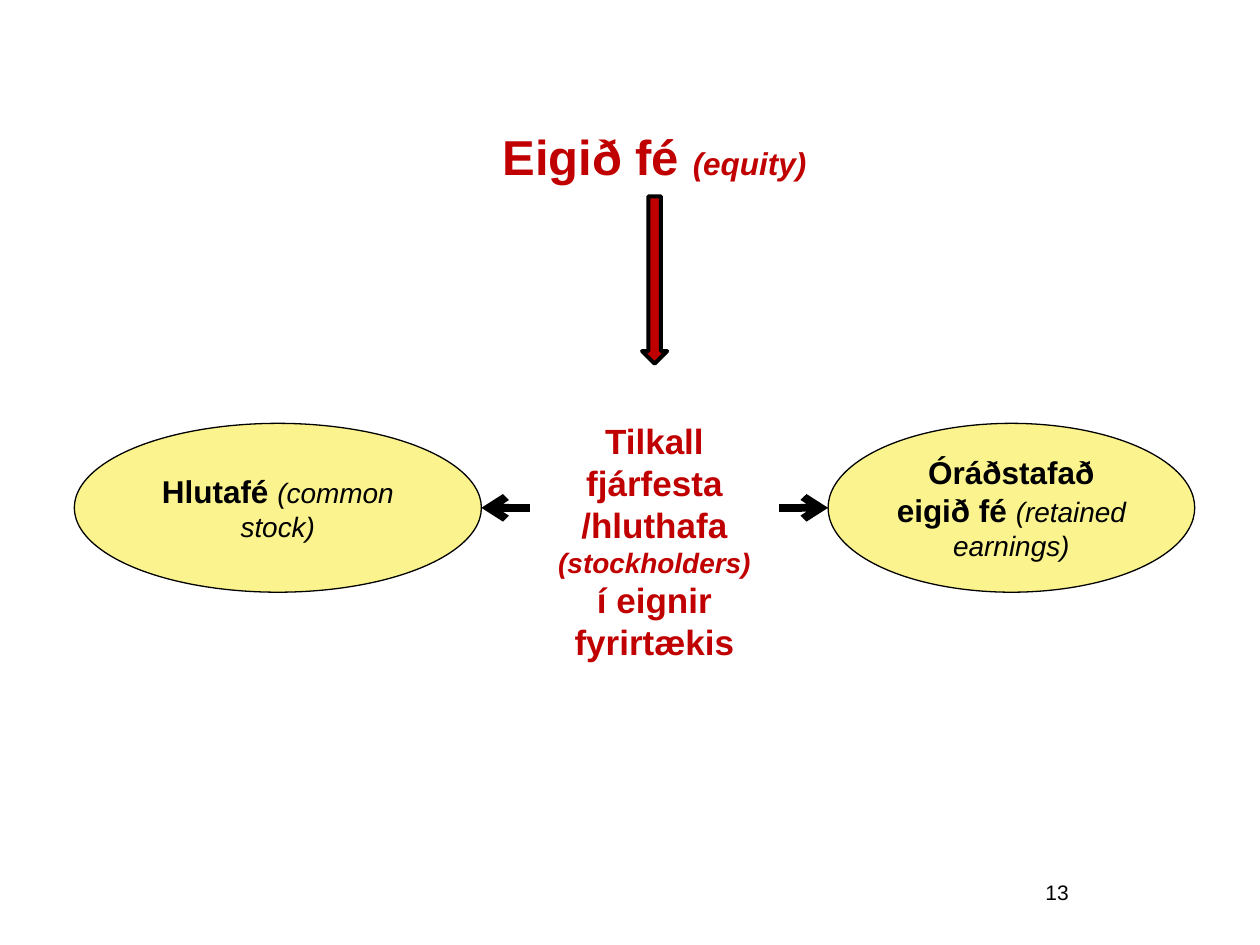
from dataclasses import dataclass

import pptx
import pptx.dml.color
import pptx.enum.shapes
import pptx.enum.text
import pptx.oxml
import pptx.oxml.ns
import pptx.util
from pptx.util import Pt

Align = pptx.enum.text.PP_ALIGN
Preset = pptx.enum.shapes.MSO_SHAPE

COLORS = {"red": "C00000", "yellow": "FBF38D", "black": "000000"}
FONT = "Arial"
MIDDLE_Y = 290.2


@dataclass
class Span:
    """A piece of text with one format."""
    text: str
    size: float
    bold: bool = True
    italic: bool = False


@dataclass
class Node:
    """A text-bearing shape centred at a given height."""
    preset: int
    left: float
    width: float
    center_y: float
    height: float
    spans: list[Span]
    ink: str = "black"
    filled: bool = True

    @property
    def right(self) -> float:
        """Return the right edge."""
        return self.left + self.width


def rgb(name: str):
    """Return a named colour."""
    return pptx.dml.color.RGBColor.from_string(COLORS[name])


def place(shape, left: float, top: float, width: float, height: float) -> None:
    """Move and size a shape, in points."""
    shape.left, shape.top = Pt(left), Pt(top)
    shape.width, shape.height = Pt(width), Pt(height)


def write(shape, spans: list[Span], ink: str, align=Align.CENTER) -> None:
    """Write formatted spans as one paragraph, anchored in the middle."""
    frame = shape.text_frame
    frame.word_wrap = True
    frame.auto_size = pptx.enum.text.MSO_AUTO_SIZE.NONE
    frame.vertical_anchor = pptx.enum.text.MSO_ANCHOR.MIDDLE
    para = frame.paragraphs[0]
    para.alignment = align
    for span in spans:
        run = para.add_run()
        run.text = span.text
        run.font.name = FONT
        run.font.size = Pt(span.size)
        run.font.bold = span.bold
        run.font.italic = span.italic
        run.font.color.rgb = rgb(ink)


def paint(shape, fill: str, line_width: float) -> None:
    """Fill a shape and give it a black outline."""
    shape.fill.solid()
    shape.fill.fore_color.rgb = rgb(fill)
    shape.line.color.rgb = rgb("black")
    shape.line.width = Pt(line_width)


def add_node(page, node: Node) -> None:
    """Draw a node with its text."""
    top = node.center_y - node.height / 2
    shape = page.shapes.add_shape(
        node.preset, Pt(node.left), Pt(top), Pt(node.width), Pt(node.height))
    shape.shadow.inherit = False
    if node.filled:
        paint(shape, "yellow", 0.75)
    else:
        shape.fill.background()
        shape.line.fill.background()
    write(shape, node.spans, node.ink)


def add_arrow(page, start_x: float, end_x: float) -> None:
    """Draw a thick horizontal arrow."""
    arrow = page.shapes.add_connector(
        pptx.enum.shapes.MSO_CONNECTOR.STRAIGHT,
        Pt(start_x), Pt(MIDDLE_Y), Pt(end_x), Pt(MIDDLE_Y))
    arrow.line.color.rgb = rgb("black")
    arrow.line.width = Pt(4.5)
    properties = arrow.line._get_or_add_ln()
    head = pptx.oxml.parse_xml(
        f'<a:tailEnd {pptx.oxml.ns.nsdecls("a")} type="arrow"/>')
    properties.append(head)
    properties.getparent().append(pptx.oxml.parse_xml(
        f'<a:effectLst {pptx.oxml.ns.nsdecls("a")}/>'))


def build() -> None:
    """Build the equity slide."""
    deck = pptx.Presentation()
    deck.slide_width, deck.slide_height = Pt(720), Pt(540)
    page = deck.slides.add_slide(deck.slide_layouts[5])

    title = page.shapes.title
    place(title, 263.5, 66.2, 221, 46)
    write(title, [Span("Eigið fé ", 28), Span("(equity)", 18, italic=True)], "red")

    number = page.shapes.add_textbox(Pt(468), Pt(491.8), Pt(149.8), Pt(36))
    write(number, [Span("13", 12, bold=False)], "black", Align.RIGHT)

    claim = Node(Preset.ROUNDED_RECTANGLE, 303.1, 141.8, 309.2, 203.8, [
        Span("Tilkall fjárfesta /hluthafa ", 20),
        Span("(stockholders) ", 16, italic=True),
        Span("í eignir fyrirtækis", 20)], ink="red", filled=False)
    stock = Node(Preset.OVAL, 42.5, 232.6, MIDDLE_Y, 96.5, [
        Span("Hlutafé ", 18),
        Span("(common stock)", 16, bold=False, italic=True)])
    earnings = Node(Preset.OVAL, 473.2, 209.5, MIDDLE_Y, 96.5, [
        Span("Óráðstafað eigið fé ", 18),
        Span("(retained earnings)", 16, bold=False, italic=True)])
    for node in (claim, stock, earnings):
        add_node(page, node)

    add_arrow(page, claim.left, stock.right)
    add_arrow(page, claim.right, earnings.left)

    down = page.shapes.add_shape(
        Preset.DOWN_ARROW, Pt(366.9), Pt(112.2), Pt(14.4), Pt(95.6))
    down.shadow.inherit = False
    paint(down, "red", 2.25)

    deck.save("out.pptx")


build()
